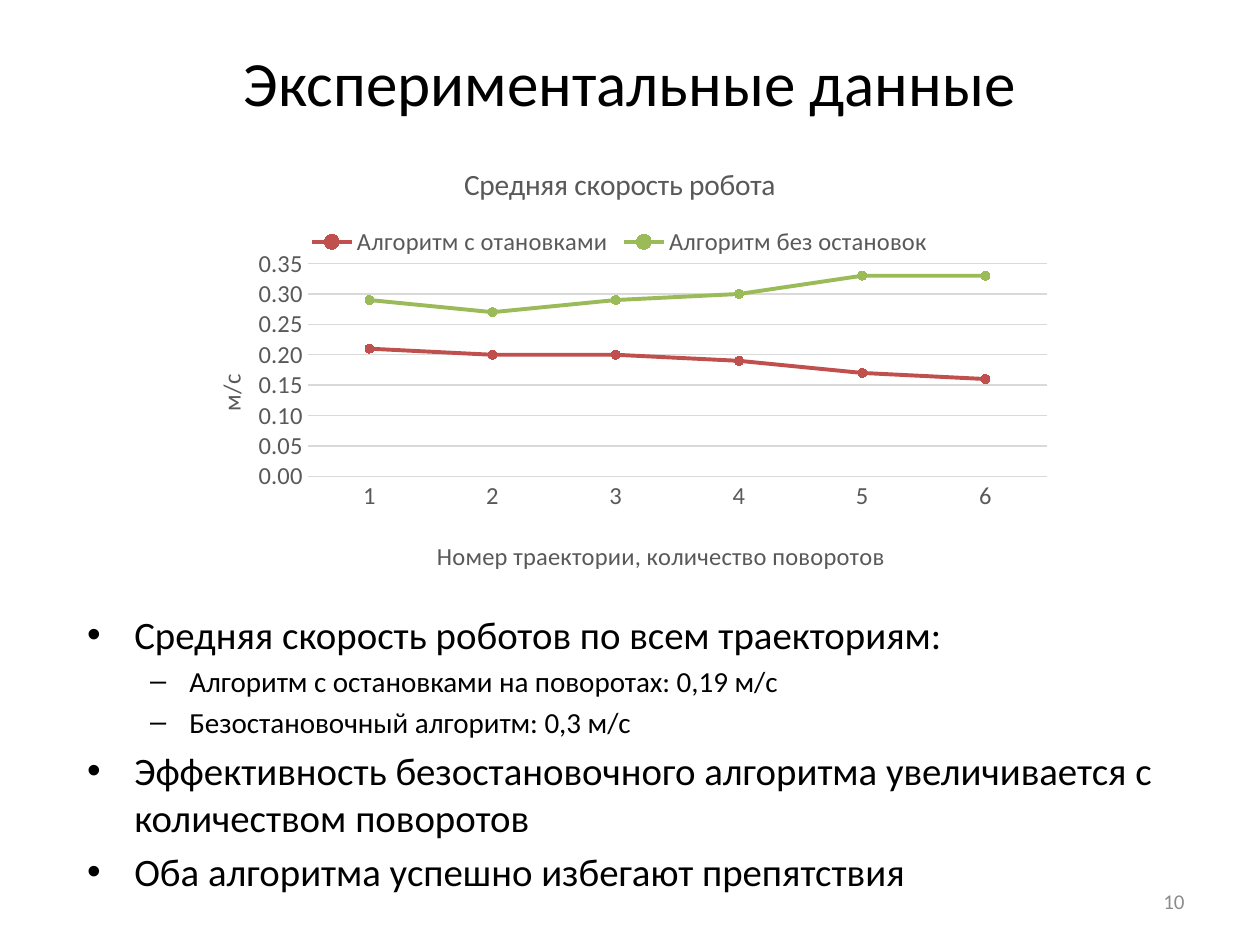
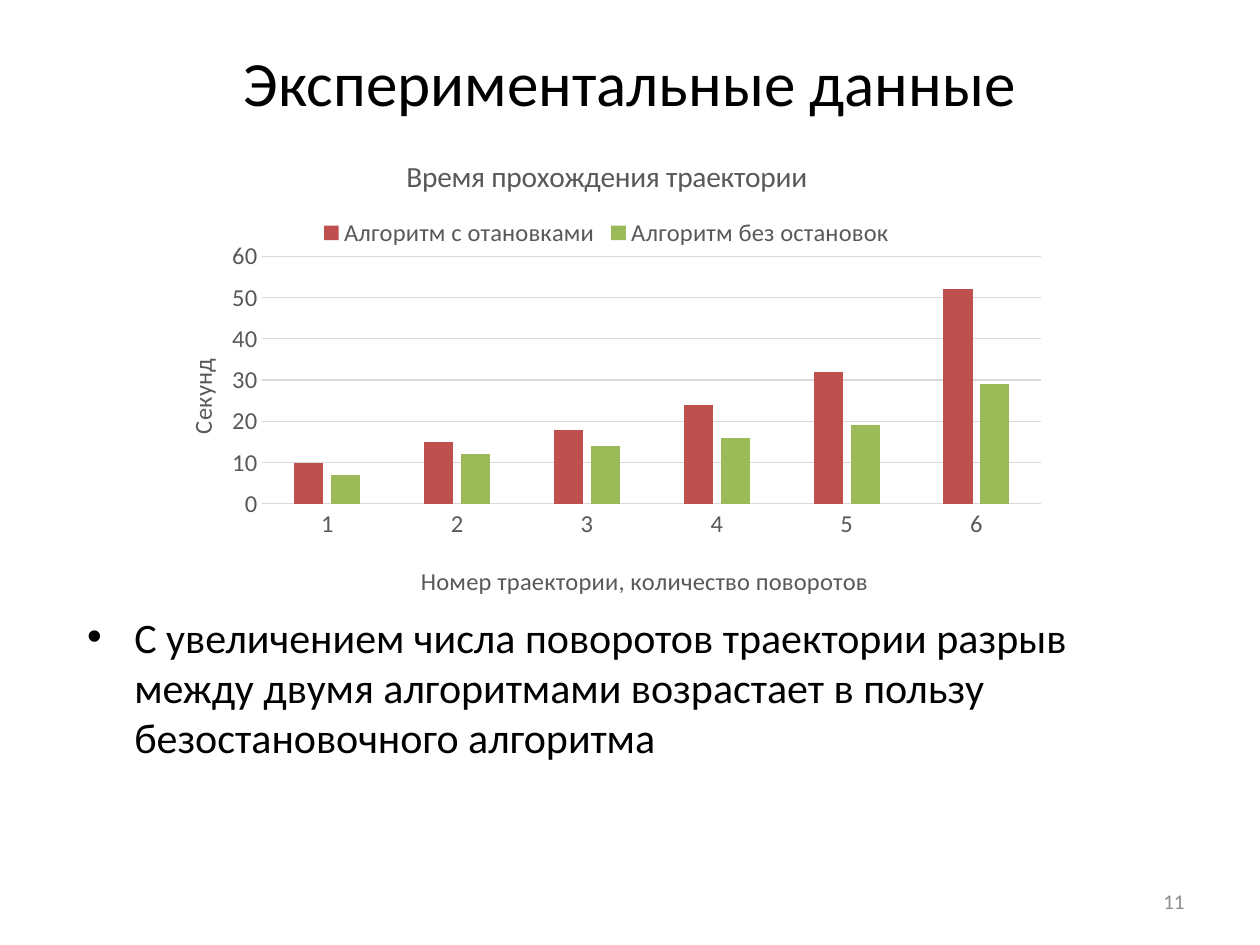
from lxml.etree import SubElement
from pptx import Presentation
from pptx.chart.data import CategoryChartData
from pptx.dml.color import RGBColor
from pptx.enum.chart import XL_CHART_TYPE, XL_LEGEND_POSITION, XL_MARKER_STYLE, XL_TICK_MARK
from pptx.enum.text import MSO_ANCHOR, MSO_AUTO_SIZE, PP_ALIGN
from pptx.oxml.ns import qn
from pptx.util import Cm, Pt

FONT = "Calibri"
COLORS = {
    "text": "000000",
    "number": "8C8C8C",
    "label": "595959",
    "grid": "D9D9D9",
    "stops": "C0504D",
    "nonstop": "9BBB59",
}
TITLE_BOX = (1.27, 0.76, 22.86, 1.75)
BODY_BOX = (1.5, 12.19, 22.63, 5.41)
NUMBER_BOX = (18.21, 17.65, 5.92, 1.02)

HEADING = "Экспериментальные данные"
TURNS_LABEL = "Номер траектории, количество поворотов"
TRAJECTORIES = ["1", "2", "3", "4", "5", "6"]
ALGORITHMS = {"Алгоритм с отановками": "stops", "Алгоритм без остановок": "nonstop"}

SPEED = {
    "kind": XL_CHART_TYPE.LINE_MARKERS,
    "box": (3.51, 2.9, 17.96, 8.94),
    "title": "Средняя скорость робота",
    "unit": "м/с",
    "values": [(0.21, 0.2, 0.2, 0.19, 0.17, 0.16), (0.29, 0.27, 0.29, 0.3, 0.33, 0.33)],
    "scale": {"minimum_scale": 0, "maximum_scale": 0.35, "major_unit": 0.05},
    "number_format": "0.00",
    "plot_layout": {"x": 0.15, "y": 0.27, "w": 0.83, "h": 0.48},
    "turns_layout": {"x": 0.29, "y": 0.88},
    "unit_layout": {"x": 0.04, "y": 0.51},
}
TIME = {
    "kind": XL_CHART_TYPE.COLUMN_CLUSTERED,
    "box": (3.1, 2.72, 18.26, 9.47),
    "title": "Время прохождения траектории",
    "unit": "Секунд",
    "values": [(10, 15, 18, 24, 32, 52), (7, 12, 14, 16, 19, 29)],
    "scale": {"minimum_scale": 0, "maximum_scale": 60, "major_unit": 10},
    "number_format": "General",
    "plot_layout": {"x": 0.12, "y": 0.26, "w": 0.86, "h": 0.53},
    "turns_layout": {"x": 0.29, "y": 0.91},
    "unit_layout": {"x": 0.03, "y": 0.47},
}
SPEED_POINTS = [
    (0, "Средняя скорость роботов по всем траекториям:"),
    (1, "Алгоритм с остановками на поворотах: 0,19 м/с"),
    (1, "Безостановочный алгоритм: 0,3 м/с"),
    (0, "Эффективность безостановочного алгоритма увеличивается с количеством поворотов"),
    (0, "Оба алгоритма успешно избегают препятствия"),
]
TIME_POINTS = [
    (0, "С увеличением числа поворотов траектории разрыв между двумя алгоритмами "
        "возрастает в пользу безостановочного алгоритма"),
]


def color(name):
    return RGBColor.from_string(COLORS[name])


def set_all(target, values):
    for attribute, value in values.items():
        setattr(target, attribute, value)


def style_font(font, size, color_name):
    set_all(font, {"name": FONT, "size": Pt(size), "bold": False})
    font.color.rgb = color(color_name)


def style_line(line, color_name, width):
    line.color.rgb = color(color_name)
    line.width = Pt(width)


def place(shape, box):
    set_all(shape, dict(zip(("left", "top", "width", "height"), map(Cm, box))))


def write_line(shape, text, size, color_name, align):
    frame = shape.text_frame
    set_all(frame, {"text": text, "word_wrap": True,
                    "auto_size": MSO_AUTO_SIZE.NONE, "vertical_anchor": MSO_ANCHOR.MIDDLE})
    frame.paragraphs[0].alignment = align
    style_font(frame.paragraphs[0].runs[0].font, size, color_name)


def add_points(body, points, sizes):
    """Fill the list; sizes holds the text size of each level."""
    place(body, BODY_BOX)
    frame = body.text_frame
    frame.auto_size = MSO_AUTO_SIZE.NONE
    for index, (level, text) in enumerate(points):
        paragraph = frame.add_paragraph() if index else frame.paragraphs[0]
        set_all(paragraph, {"text": text, "level": level})
        style_font(paragraph.runs[0].font, sizes[level], "text")


def set_layout(parent, fractions, inner=False):
    """Fix a chart part at fractions of the chart's size."""
    layout = parent.find(qn("c:layout"))
    if layout is None:
        layout = parent.makeelement(qn("c:layout"))
        parent.insert(0 if parent.find(qn("c:tx")) is None else 1, layout)
    manual = SubElement(layout, qn("c:manualLayout"))
    settings = {"layoutTarget": "inner"} if inner else {}
    settings |= {"xMode": "edge", "yMode": "edge"} | fractions
    for tag, value in settings.items():
        SubElement(manual, qn(f"c:{tag}")).set("val", str(value))


def write_chart_title(title, text, size):
    title.text_frame.text = text
    style_font(title.text_frame.paragraphs[0].runs[0].font, size, "label")


def style_axis(axis, text, layout):
    write_chart_title(axis.axis_title, text, 14)
    set_layout(axis.axis_title.element, layout)
    style_font(axis.tick_labels.font, 14, "label")
    set_all(axis, {"major_tick_mark": XL_TICK_MARK.NONE, "minor_tick_mark": XL_TICK_MARK.NONE})


def style_series(series, color_name, is_line):
    if not is_line:
        series.format.fill.solid()
        series.format.fill.fore_color.rgb = color(color_name)
        return
    series.smooth = False
    style_line(series.format.line, color_name, 2.25)
    set_all(series.marker, {"style": XL_MARKER_STYLE.CIRCLE, "size": 5})
    series.marker.format.fill.solid()
    series.marker.format.fill.fore_color.rgb = color(color_name)
    style_line(series.marker.format.line, color_name, 0.75)


def add_comparison_chart(slide, content):
    data = CategoryChartData(number_format=content["number_format"])
    data.categories = TRAJECTORIES
    for algorithm, values in zip(ALGORITHMS, content["values"]):
        data.add_series(algorithm, values)
    chart = slide.shapes.add_chart(content["kind"], *map(Cm, content["box"]), data).chart
    style_font(chart.font, 14, "text")
    write_chart_title(chart.chart_title, content["title"], 16.8)

    chart.has_legend = True
    set_all(chart.legend, {"position": XL_LEGEND_POSITION.TOP, "include_in_layout": False})
    style_font(chart.legend.font, 14, "label")

    turns, measure = chart.category_axis, chart.value_axis
    style_axis(turns, TURNS_LABEL, content["turns_layout"])
    style_line(turns.format.line, "grid", 0.75)
    style_axis(measure, content["unit"], content["unit_layout"])
    set_all(measure, content["scale"])
    measure.format.line.fill.background()
    style_line(measure.major_gridlines.format.line, "grid", 0.75)
    set_all(measure.tick_labels, {"number_format": content["number_format"],
                                  "number_format_is_linked": False})

    plot = chart.plots[0]
    plot.vary_by_categories = False
    is_line = content["kind"] == XL_CHART_TYPE.LINE_MARKERS
    if not is_line:
        set_all(plot, {"gap_width": 219, "overlap": -27})
    for series in plot.series:
        style_series(series, ALGORITHMS[series.name], is_line)
    set_layout(chart.element.find(".//" + qn("c:plotArea")), content["plot_layout"], inner=True)


def add_results_slide(deck, number, content, points, sizes):
    slide = deck.slides.add_slide(deck.slide_layouts[1])
    heading, body = slide.placeholders
    place(heading, TITLE_BOX)
    write_line(heading, HEADING, 36, "text", PP_ALIGN.CENTER)
    add_points(body, points, sizes)
    page = slide.shapes.add_textbox(*map(Cm, NUMBER_BOX))
    write_line(page, str(number), 12, "number", PP_ALIGN.RIGHT)
    add_comparison_chart(slide, content)


def main():
    deck = Presentation()
    set_all(deck, {"slide_width": Cm(25.4), "slide_height": Cm(19.05)})
    add_results_slide(deck, 10, SPEED, SPEED_POINTS, (22.2, 16.6))
    add_results_slide(deck, 11, TIME, TIME_POINTS, (24,))
    deck.save("out.pptx")


if __name__ == "__main__":
    main()
